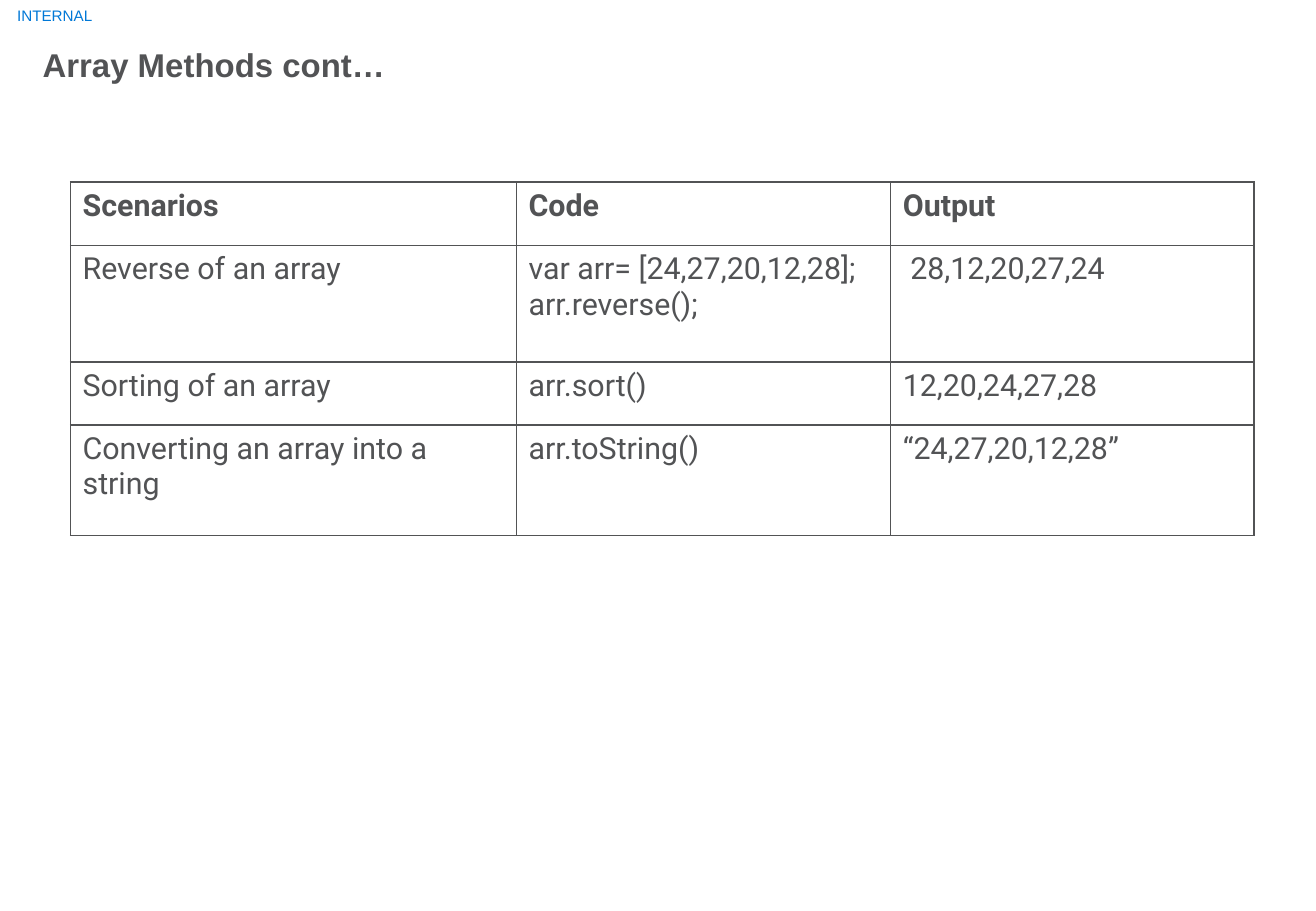
from dataclasses import dataclass

from lxml import etree
from pptx import Presentation
from pptx import util as u
from pptx.dml import color
from pptx.enum import text
from pptx.oxml import ns

COLOURS = {"ink": "525355", "label": "0078D7", "paper": "FFFFFF"}
COLUMN_WIDTHS = (3.67, 3.08, 2.99)
BORDER_WIDTH = 1


@dataclass
class TableRow:
    height: float
    cells: tuple[str, str, str]
    bold: bool = False


ROWS = [
    TableRow(0.52, ("Scenarios", "Code", "Output"), bold=True),
    TableRow(0.96, ("Reverse of an array",
                    "var arr= [24,27,20,12,28];\narr.reverse();",
                    " 28,12,20,27,24")),
    TableRow(0.52, ("Sorting of an array", "arr.sort()", "12,20,24,27,28")),
    TableRow(0.91, ("Converting an array into a string", "arr.toString()",
                    "“24,27,20,12,28”")),
]


def rgb(name: str) -> color.RGBColor:
    return color.RGBColor.from_string(COLOURS[name])


def style_font(para, face: str, size: float, colour: str, bold: bool = False) -> None:
    para.font.name = face
    para.font.size = u.Pt(size)
    para.font.bold = bold
    para.font.color.rgb = rgb(colour)


def clear_margins(frame) -> None:
    frame.margin_left = frame.margin_right = 0
    frame.margin_top = frame.margin_bottom = 0


def add_borders(cell) -> None:
    properties = cell._tc.get_or_add_tcPr()
    for side in ("lnL", "lnR", "lnT", "lnB"):
        line = etree.SubElement(properties, ns.qn(f"a:{side}"), w=str(u.Pt(BORDER_WIDTH)))
        fill = etree.SubElement(line, ns.qn("a:solidFill"))
        etree.SubElement(fill, ns.qn("a:srgbClr"), val=COLOURS["ink"])


def add_label(page) -> None:
    box = page.shapes.add_textbox(0, 0, u.Inches(0.9), u.Inches(0.26))
    frame = box.text_frame
    clear_margins(frame)
    frame.word_wrap = True
    frame.vertical_anchor = text.MSO_ANCHOR.MIDDLE
    para = frame.paragraphs[0]
    para.text = "INTERNAL"
    para.alignment = text.PP_ALIGN.CENTER
    style_font(para, "Arial", 9, "label")


def fill_title(page) -> None:
    title = page.shapes.title
    title.left, title.top = u.Inches(0.35), u.Inches(0.38)
    title.width, title.height = u.Inches(10.16), u.Inches(0.87)
    frame = title.text_frame
    clear_margins(frame)
    frame.auto_size = text.MSO_AUTO_SIZE.NONE
    frame.vertical_anchor = text.MSO_ANCHOR.TOP
    para = frame.paragraphs[0]
    para.text = "Array Methods cont…"
    para.alignment = text.PP_ALIGN.LEFT
    para.line_spacing = u.Pt(22.8)
    style_font(para, "Arial", 19.5, "ink", bold=True)


def add_methods_table(page, rows: list[TableRow]) -> None:
    frame = page.shapes.add_table(
        len(rows), len(COLUMN_WIDTHS), u.Inches(0.58), u.Inches(1.5),
        u.Inches(sum(COLUMN_WIDTHS)), u.Inches(sum(row.height for row in rows)))
    table = frame.table
    table.horz_banding = False
    for column, width in zip(table.columns, COLUMN_WIDTHS):
        column.width = u.Inches(width)
    for table_row, row in zip(table.rows, rows):
        table_row.height = u.Inches(row.height)
        for cell, words in zip(table_row.cells, row.cells):
            cell.text = words
            add_borders(cell)
            cell.fill.solid()
            cell.fill.fore_color.rgb = rgb("paper")
            for para in cell.text_frame.paragraphs:
                style_font(para, "Roboto", 18, "ink", row.bold)


def main() -> None:
    deck = Presentation()
    deck.slide_width, deck.slide_height = u.Inches(10.83), u.Inches(7.5)
    # Title Only layout
    page = deck.slides.add_slide(deck.slide_layouts[5])

    # Classification label and heading
    add_label(page)
    fill_title(page)

    # Array methods with their code and output
    add_methods_table(page, ROWS)
    deck.save("out.pptx")


if __name__ == "__main__":
    main()
